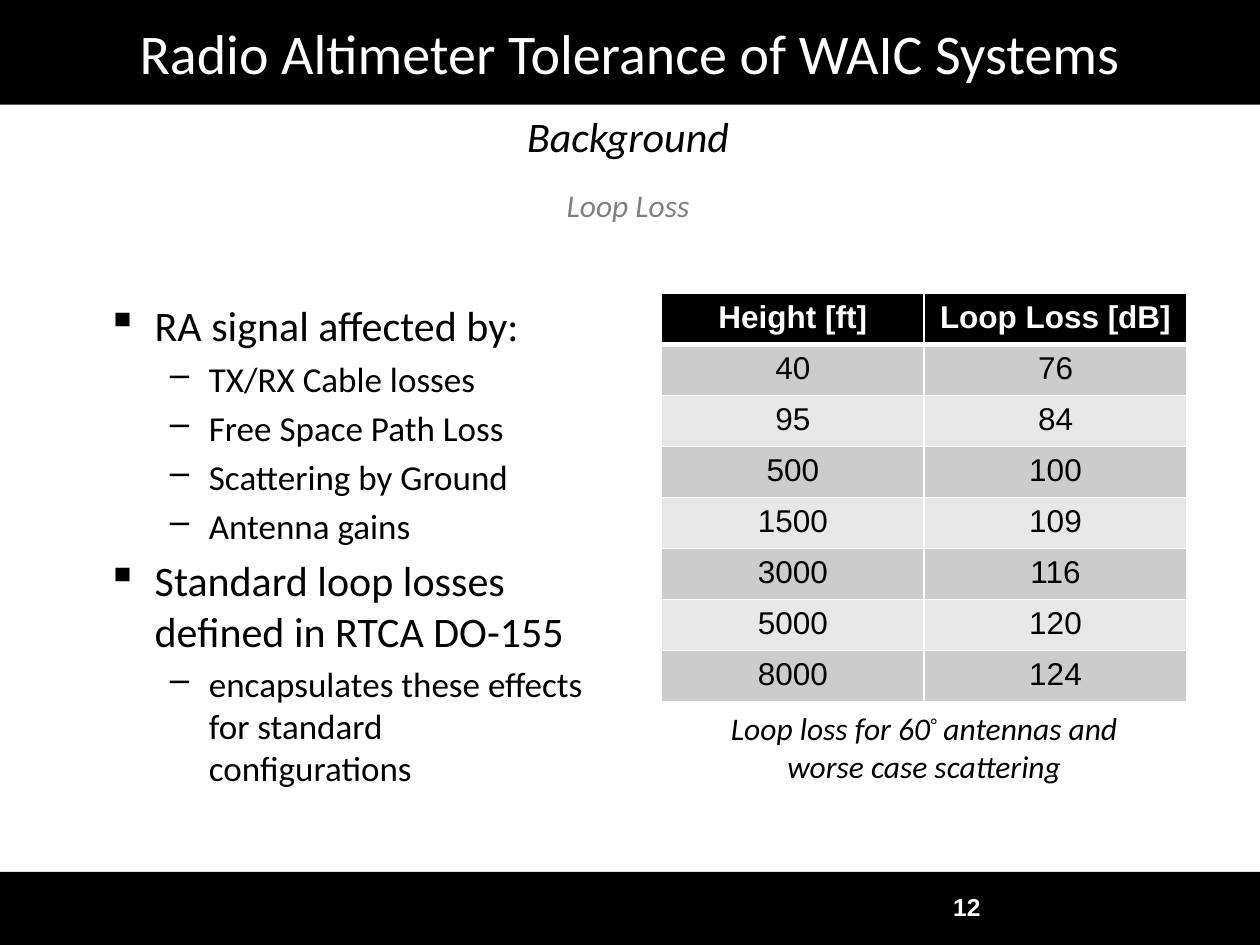
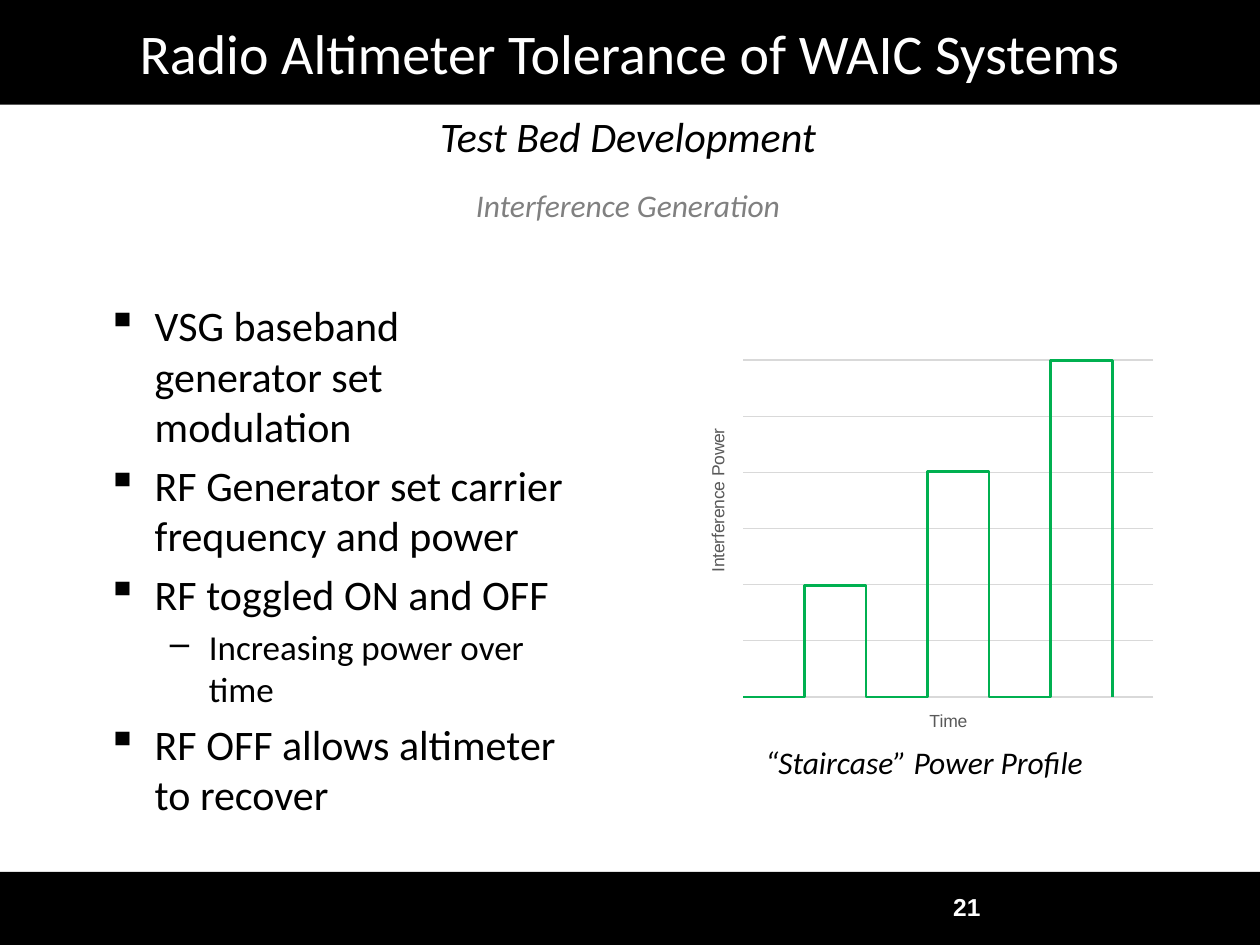
from lxml import etree
from pptx import Presentation
from pptx.chart.data import XyChartData
from pptx.dml.color import RGBColor
from pptx.enum.chart import XL_CHART_TYPE
from pptx.enum.shapes import MSO_SHAPE
from pptx.enum.text import MSO_ANCHOR, MSO_AUTO_SIZE, PP_ALIGN
from pptx.oxml import parse_xml
from pptx.oxml.ns import nsdecls, qn
from pptx.util import Inches, Pt

BLACK, WHITE, GRAY = "000000", "FFFFFF", "808080"
GRID, GREEN, AXIS_TEXT = "D9D9D9", "00B050", "595959"
ROW_FILLS = ["E7E7E7", "CCCCCC"]
TITLE = "Radio Altimeter Tolerance of WAIC Systems"
LEVELS = [("▪", 24, 0.38, 0.38), ("–", 20, 0.81, 0.31)]

SLIDES = [
    {
        "number": "12",
        "section": "Background",
        "topic": "Loop Loss",
        "body_size": (4, 4.25),
        "bullets": [
            (0, "RA signal affected by:"),
            (1, "TX/RX Cable losses"),
            (1, "Free Space Path Loss"),
            (1, "Scattering by Ground"),
            (1, "Antenna gains"),
            (0, "Standard loop losses defined in RTCA DO-155"),
            (1, "encapsulates these effects for standard configurations"),
        ],
        "caption_top": 5.58,
        "caption": [("Loop loss for 60", 0), ("°", 30000),
                    (" antennas and worse case scattering", 0)],
    },
    {
        "number": "21",
        "section": "Test Bed Development",
        "topic": "Interference Generation",
        "body_size": (3.83, 4.5),
        "bullets": [
            (0, "VSG baseband generator set modulation"),
            (0, "RF Generator set carrier frequency and power"),
            (0, "RF toggled ON and OFF"),
            (1, "Increasing power over time"),
            (0, "RF OFF allows altimeter to recover"),
        ],
        "caption_top": 5.85,
        "caption": [("“Staircase” Power Profile", 0)],
    },
]

LOSSES = [
    ("Height [ft]", "Loop Loss [dB]"),
    ("40", "76"), ("95", "84"), ("500", "100"), ("1500", "109"),
    ("3000", "116"), ("5000", "120"), ("8000", "124"),
]


def rgb(value):
    return RGBColor.from_string(value)


def add_run(p, text, size, color=BLACK, font="Calibri", bold=False, italic=False):
    r = p.add_run()
    r.text = text
    r.font.size = Pt(size)
    r.font.name = font
    r.font.bold = bold
    r.font.italic = italic
    r.font.color.rgb = rgb(color)
    return r


prs = Presentation()
prs.slide_width = Inches(10)
prs.slide_height = Inches(7.5)

for content in SLIDES:
    s = prs.slides.add_slide(prs.slide_layouts[5])

    band = s.shapes.add_shape(MSO_SHAPE.RECTANGLE, Inches(0), Inches(6.92),
                              Inches(10), Inches(0.58))
    band.shadow.inherit = False
    band.fill.solid()
    band.fill.fore_color.rgb = rgb(BLACK)
    band.line.fill.background()

    title = s.shapes.title
    title.left, title.top = Inches(0), Inches(0)
    title.width, title.height = Inches(10), Inches(0.83)
    title.fill.solid()
    title.fill.fore_color.rgb = rgb(BLACK)
    tf = title.text_frame
    tf.auto_size = MSO_AUTO_SIZE.NONE
    tf.vertical_anchor = MSO_ANCHOR.MIDDLE
    p = tf.paragraphs[0]
    p.alignment = PP_ALIGN.CENTER
    add_run(p, TITLE, 32, WHITE)

    for text, top, height, size, color in [
        (content["section"], 0.83, 0.5, 24, BLACK),
        (content["topic"], 1.43, 0.4, 18, GRAY),
    ]:
        sp = s.shapes.add_textbox(Inches(-0.03), Inches(top), Inches(10.03), Inches(height))
        tf = sp.text_frame
        tf.word_wrap = True
        tf.vertical_anchor = MSO_ANCHOR.MIDDLE
        tf.margin_left = tf.margin_right = Inches(0.05)
        p = tf.paragraphs[0]
        p.alignment = PP_ALIGN.CENTER
        p.space_before = Pt(size * 0.2)
        add_run(p, text, size, color, italic=True)

    sp = s.shapes.add_textbox(Inches(5.55), Inches(7), Inches(2.33), Inches(0.4))
    tf = sp.text_frame
    tf.word_wrap = True
    tf.vertical_anchor = MSO_ANCHOR.MIDDLE
    p = tf.paragraphs[0]
    p.alignment = PP_ALIGN.RIGHT
    add_run(p, content["number"], 14, WHITE, "Arial", bold=True)

    width, height = content["body_size"]
    sp = s.shapes.add_textbox(Inches(0.75), Inches(2.33), Inches(width), Inches(height))
    tf = sp.text_frame
    tf.word_wrap = True
    for i, (level, text) in enumerate(content["bullets"]):
        bullet, size, margin, hanging = LEVELS[level]
        p = tf.paragraphs[0] if i == 0 else tf.add_paragraph()
        p.level = level
        p.space_before = Pt(size * 0.2)
        pPr = p._p.get_or_add_pPr()
        pPr.set("marL", str(Inches(margin)))
        pPr.set("indent", str(-Inches(hanging)))
        etree.SubElement(pPr, qn("a:buChar")).set("char", bullet)
        add_run(p, text, size)

    sp = s.shapes.add_textbox(Inches(5.42), Inches(content["caption_top"]),
                              Inches(3.83), Inches(0.67))
    tf = sp.text_frame
    tf.word_wrap = True
    p = tf.paragraphs[0]
    p.alignment = PP_ALIGN.CENTER
    p.space_before = Pt(3.6)
    for text, baseline in content["caption"]:
        r = add_run(p, text, 18, italic=True)
        if baseline:
            r.font._element.set("baseline", str(baseline))

loss_slide, profile_slide = prs.slides

table = loss_slide.shapes.add_table(len(LOSSES), 2, Inches(5.25), Inches(2.33),
                                    Inches(4.17), Inches(3.24)).table
for i, row in enumerate(LOSSES):
    header = i == 0
    for j, text in enumerate(row):
        cell = table.cell(i, j)
        cell.fill.solid()
        cell.fill.fore_color.rgb = rgb(BLACK if header else ROW_FILLS[i % 2])
        p = cell.text_frame.paragraphs[0]
        p.alignment = PP_ALIGN.CENTER
        add_run(p, text, 18, WHITE if header else BLACK, "Arial", bold=header)
        tcPr = cell._tc.get_or_add_tcPr()
        for k, side in enumerate(["lnL", "lnR", "lnT", "lnB"]):
            thick = (header and side == "lnB") or (i == 1 and side == "lnT")
            tcPr.insert(k, parse_xml(
                f'<a:{side} {nsdecls("a")} w="{Pt(3 if thick else 1)}"><a:solidFill>'
                f'<a:srgbClr val="{WHITE}"/></a:solidFill></a:{side}>'))

data = XyChartData()
series = data.add_series("Series 1")
for step, power in enumerate([0, 33, 0, 67, 0, 100]):
    for offset in range(4):
        series.add_data_point(step * 3 + offset, power)
series.add_data_point(18, 0)

chart = profile_slide.shapes.add_chart(
    XL_CHART_TYPE.XY_SCATTER_LINES_NO_MARKERS, Inches(5.4), Inches(2.34),
    Inches(3.83), Inches(3.67), data).chart
chart.has_legend = False
chart.has_title = False
chart.font.size = Pt(10)
chart.font.name = "Arial"
chart.font.color.rgb = rgb(BLACK)
chart.plots[0].vary_by_categories = False

line = chart.plots[0].series[0]
line.smooth = False
line.format.line.color.rgb = rgb(GREEN)
line.format.line.width = Pt(1.5)

for axis, name, top, unit in [
    (chart.category_axis, "Time", 20, 2),
    (chart.value_axis, "Interference Power", 116.67, 16.67),
]:
    axis.minimum_scale = 0
    axis.maximum_scale = top
    axis.major_unit = unit
    axis.has_major_gridlines = False
    axis.visible = False
    add_run(axis.axis_title.text_frame.paragraphs[0], name, 10, AXIS_TEXT, "Arial")

grid = chart.value_axis.major_gridlines.format.line
grid.color.rgb = rgb(GRID)
grid.width = Pt(0.75)

plot_area = chart._chartSpace.chart.plotArea
for old in plot_area.findall(qn("c:layout")):
    plot_area.remove(old)
plot_area.insert(0, parse_xml(
    f'<c:layout {nsdecls("c")}><c:manualLayout><c:layoutTarget val="inner"/>'
    '<c:xMode val="edge"/><c:yMode val="edge"/><c:x val="0.13"/><c:y val="0.02"/>'
    '<c:w val="0.85"/><c:h val="0.85"/></c:manualLayout></c:layout>'))

prs.save("out.pptx")
